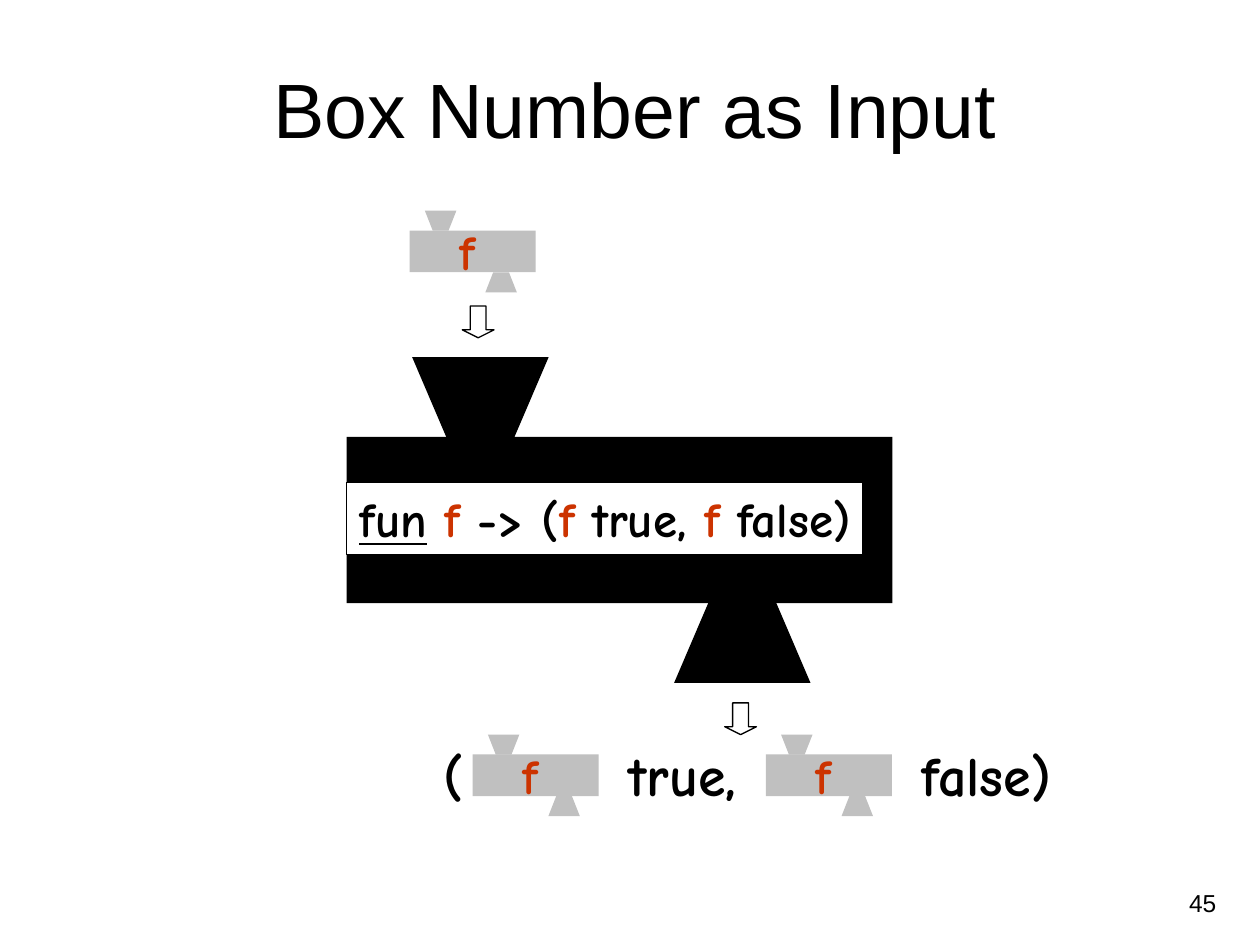
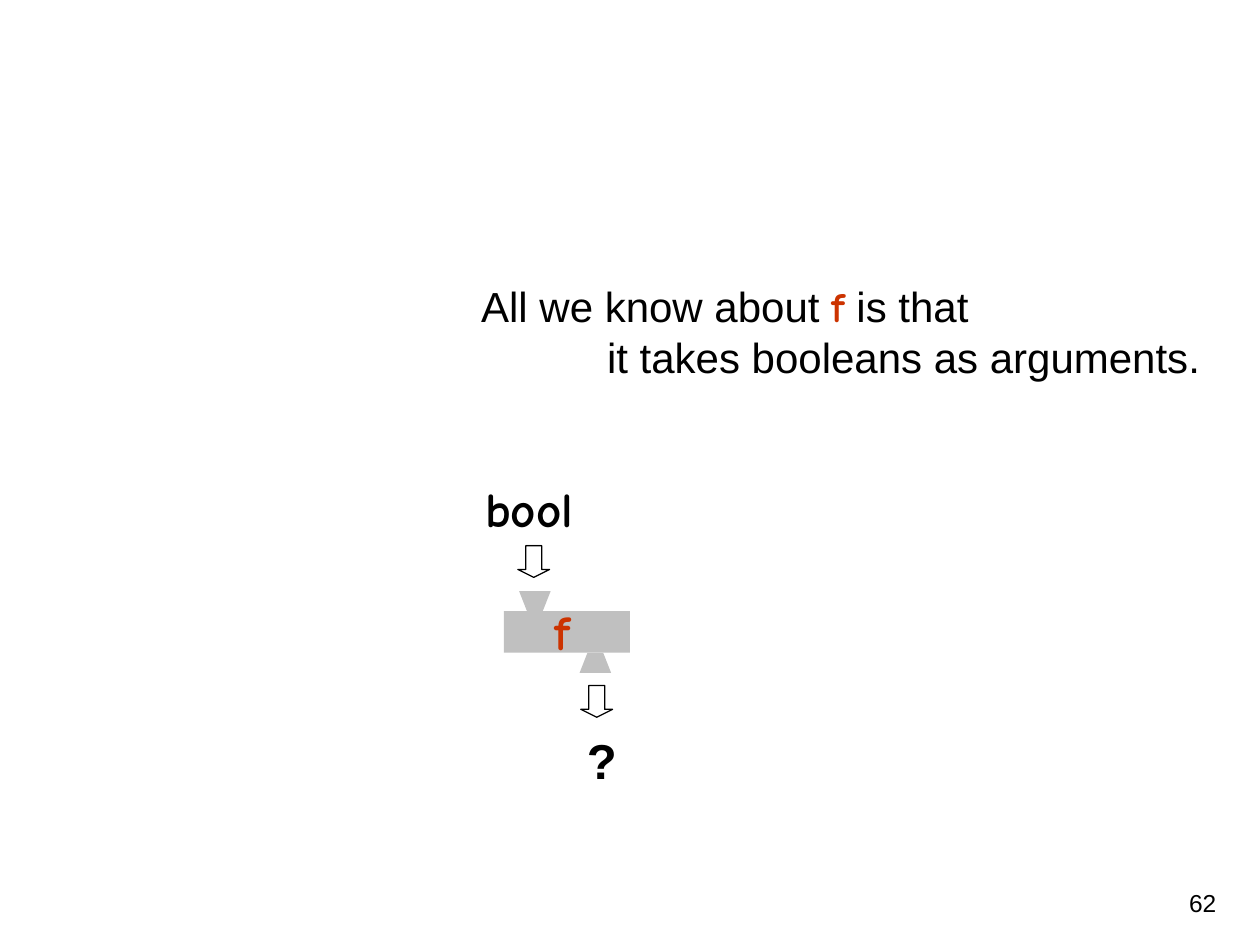
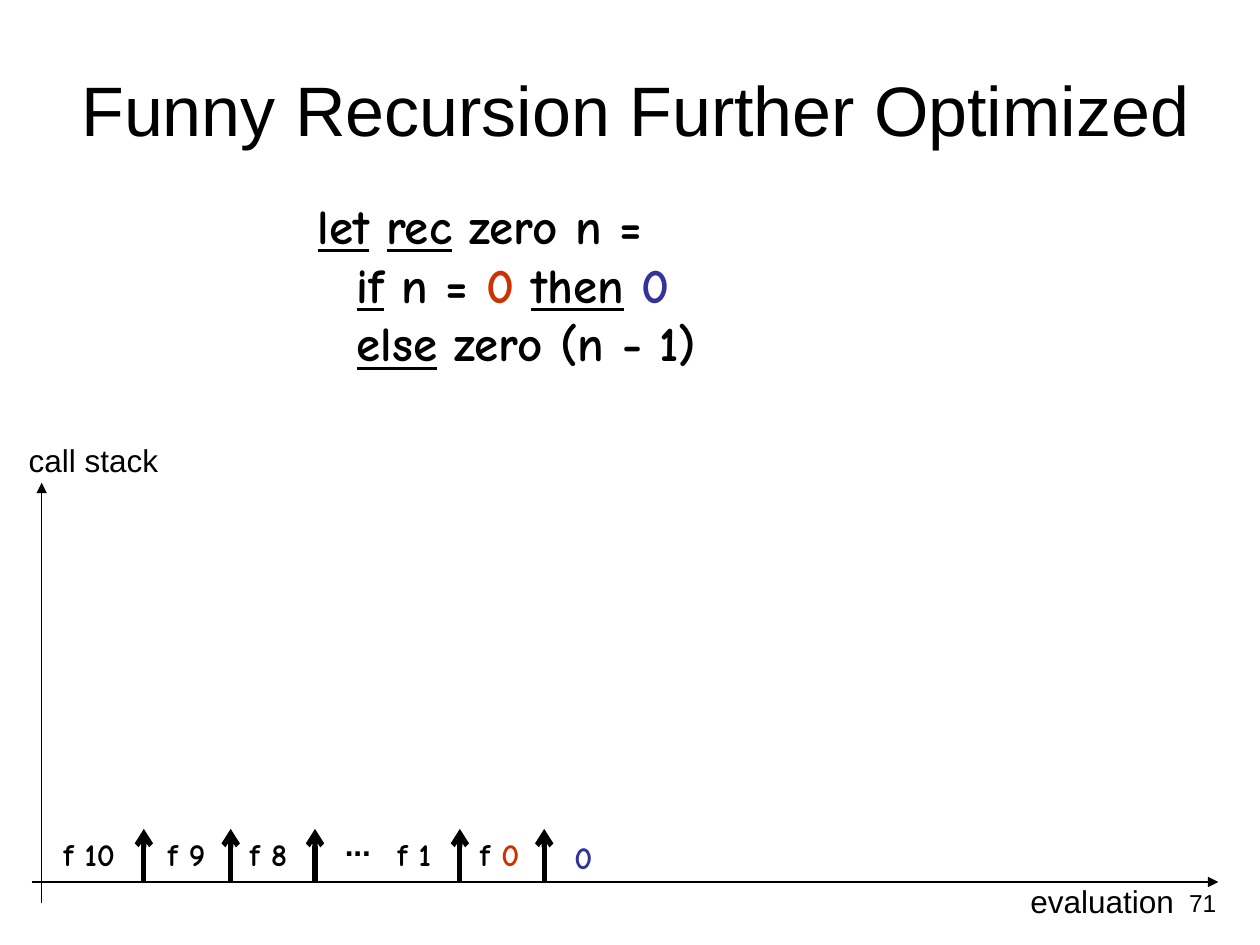
from dataclasses import dataclass
from typing import NamedTuple, Optional

from pptx import Presentation
from pptx import util as u
from pptx.dml.color import RGBColor
from pptx.enum import shapes, text
from pptx.oxml.ns import qn
from lxml import etree

Cm, Pt = u.Cm, u.Pt
LEFT, CENTER, RIGHT = text.PP_ALIGN.LEFT, text.PP_ALIGN.CENTER, text.PP_ALIGN.RIGHT


class Style(NamedTuple):
    font: str
    bold: bool


@dataclass(frozen=True)
class Theme:
    ink: str = "000000"
    paper: str = "FFFFFF"
    grey: str = "C0C0C0"
    red: str = "CC3300"
    blue: str = "333399"
    plain: Style = Style("Arial", False)
    strong: Style = Style("Arial", True)
    code: Style = Style("Comic Neue", True)
    title: int = 44
    long_title: int = 40
    result: int = 32
    listing: int = 28
    prose: int = 24
    small: int = 18
    number: int = 14
    thin: float = 0.75
    thick: float = 3


THEME = Theme()


class Span(NamedTuple):
    text: str
    style: Style = THEME.code
    colour: str = THEME.ink
    underline: bool = False


def keyword(word: str) -> Span:
    return Span(word, underline=True)


Line = list[Span]
F = Span("f", colour=THEME.red)


@dataclass(frozen=True)
class Label:
    """A text box; lines after the first are indented by later_indent."""
    left: float
    top: float
    width: float
    height: float
    lines: list[Line]
    size: int
    align: text.PP_ALIGN = LEFT
    wrap: bool = False
    space_before: float = 0
    later_indent: float = 0
    fill: Optional[str] = None
    outline: Optional[str] = None


@dataclass(frozen=True)
class Machine:
    """A box with an input funnel above and an output funnel below."""
    left: float
    top: float
    width: float
    height: float
    colour: str


def rgb(code: str) -> RGBColor:
    return RGBColor.from_string(code)


def write_spans(para, spans: Line, size: int) -> None:
    for span in spans:
        run = para.add_run()
        run.text = span.text
        run.font.name, run.font.bold = span.style
        run.font.size = Pt(size)
        run.font.underline = span.underline
        run.font.color.rgb = rgb(span.colour)


def set_indent(para, left: float, first: float = 0) -> None:
    properties = para._p.get_or_add_pPr()
    properties.set("marL", str(Cm(left)))
    properties.set("indent", str(Cm(first)))


def place(shape, left: float, top: float, width: float, height: float) -> None:
    shape.left, shape.top, shape.width, shape.height = map(Cm, (left, top, width, height))


def add_label(parent, label: Label) -> None:
    box = parent.shapes.add_textbox(*map(Cm, (label.left, label.top, label.width, label.height)))
    if label.fill:
        box.fill.solid()
        box.fill.fore_color.rgb = rgb(label.fill)
    if label.outline:
        box.line.color.rgb = rgb(label.outline)
        box.line.width = Pt(THEME.thin)
    frame = box.text_frame
    frame.word_wrap = label.wrap
    if not label.wrap:
        frame.auto_size = text.MSO_AUTO_SIZE.SHAPE_TO_FIT_TEXT
    for index, spans in enumerate(label.lines):
        para = frame.add_paragraph() if index else frame.paragraphs[0]
        para.alignment = label.align
        para.space_before = Pt(label.space_before)
        if index:
            set_indent(para, label.later_indent)
        write_spans(para, spans, label.size)


def paint(shape, colour: str) -> None:
    shape.shadow.inherit = False
    shape.fill.solid()
    shape.fill.fore_color.rgb = rgb(colour)
    shape.line.fill.background()


def add_funnel(parent, left: float, wide_y: float, narrow_y: float, width: float, colour: str) -> None:
    taper = width / 4
    corners = [(left + width, wide_y), (left + width - taper, narrow_y), (left + taper, narrow_y)]
    builder = parent.shapes.build_freeform(Cm(left), Cm(wide_y))
    builder.add_line_segments([(Cm(x), Cm(y)) for x, y in corners], close=True)
    paint(builder.convert_to_shape(), colour)


def add_machine(page, machine: Machine):
    group = page.shapes.add_group_shape()
    left, top, width, height = machine.left, machine.top, machine.width, machine.height
    body = group.shapes.add_shape(shapes.MSO_SHAPE.RECTANGLE, *map(Cm, (left, top, width, height)))
    paint(body, machine.colour)
    bottom, funnel = top + height, 0.48 * height
    add_funnel(group, left + 0.12 * width, top - funnel, top, width / 4, machine.colour)
    add_funnel(group, left + 0.6 * width, bottom + funnel, bottom, width / 4, machine.colour)
    return group


def add_f_machine(page, left: float, top: float) -> None:
    group = add_machine(page, Machine(left, top, 2.54, 0.84, THEME.grey))
    add_label(group, Label(left + 0.76, top - 0.31, 0.81, 1.45, [[F]], THEME.listing, RIGHT))


def add_down_arrow(page, left: float, top: float) -> None:
    arrow = page.shapes.add_shape(shapes.MSO_SHAPE.DOWN_ARROW, Cm(left), Cm(top), Cm(0.64), Cm(0.64))
    arrow.shadow.inherit = False
    arrow.adjustments[1] = 0.25
    arrow.fill.background()
    arrow.line.color.rgb = rgb(THEME.ink)
    arrow.line.width = Pt(THEME.thin)


def add_arrow_line(page, start: tuple[float, float], end: tuple[float, float],
                   weight: float, head: str) -> None:
    line = page.shapes.add_connector(shapes.MSO_CONNECTOR.STRAIGHT, *map(Cm, start + end))
    line.line.color.rgb = rgb(THEME.ink)
    line.line.width = Pt(weight)
    etree.SubElement(line.line._get_or_add_ln(), qn("a:tailEnd"), type=head)
    etree.SubElement(line._element.spPr, qn("a:effectLst"))


def add_page(deck, layout: int, number: int, title: str = "", size: int = THEME.title):
    page = deck.slides.add_slide(deck.slide_layouts[layout])
    if title:
        place(page.shapes.title, 0.64, 0.76, 24.33, 2.84)
        frame = page.shapes.title.text_frame
        frame.auto_size = text.MSO_AUTO_SIZE.NONE
        frame.vertical_anchor = text.MSO_ANCHOR.MIDDLE
        frame.paragraphs[0].alignment = CENTER
        write_spans(frame.paragraphs[0], [Span(title, THEME.plain)], size)
    add_label(page, Label(18.85, 17.78, 5.92, 0.89, [[Span(str(number), THEME.plain)]],
                          THEME.number, RIGHT, wrap=True))
    return page


def add_code_body(page, lines: list[Line]) -> None:
    body = page.placeholders[1]
    place(body, 4.88, 3.81, 12.07, 4.01)
    body.text_frame.auto_size = text.MSO_AUTO_SIZE.NONE
    para = body.text_frame.paragraphs[0]
    para.level = 1
    para.alignment = LEFT
    para.space_before = Pt(7)
    set_indent(para, 2.06, -0.79)
    etree.SubElement(para._p.get_or_add_pPr(), qn("a:buNone"))
    for index, spans in enumerate(lines):
        if index:
            para.add_line_break()
        write_spans(para, spans, THEME.listing)


def build_box_input(deck) -> None:
    page = add_page(deck, 5, 45, "Box Number as Input")
    add_machine(page, Machine(6.99, 8.81, 11, 3.35, THEME.ink))
    add_down_arrow(page, 9.32, 6.17)
    add_down_arrow(page, 14.61, 14.17)
    for left, top in ((8.26, 4.65), (9.53, 15.21), (15.44, 15.21)):
        add_f_machine(page, left, top)
    for word, left, width in (("(", 8.69, 0.84), ("true,", 12.07, 3.38), ("false)", 17.98, 3.81)):
        add_label(page, Label(left, 14.81, width, 1.63, [[Span(word)]], THEME.result, CENTER,
                              wrap=True, space_before=8))
    function = [keyword("fun"), Span(" "), F, Span(" -> ("), F, Span(" true, "), F, Span(" false)")]
    add_label(page, Label(6.99, 9.73, 10.41, 1.45, [function], THEME.listing, RIGHT,
                          fill=THEME.paper, outline=THEME.ink))


def build_argument_type(deck) -> None:
    page = add_page(deck, 6, 62)
    add_down_arrow(page, 10.44, 11)
    add_down_arrow(page, 11.71, 13.82)
    add_f_machine(page, 10.16, 12.32)
    statement = [
        [Span("All we know about ", THEME.plain), F, Span(" is that", THEME.plain)],
        [Span("it takes booleans as arguments.", THEME.plain)],
    ]
    add_label(page, Label(9.45, 5.54, 15.4, 2.29, statement, THEME.prose, wrap=True,
                          later_indent=2.54))
    add_label(page, Label(9.53, 9.53, 2.41, 1.45, [[Span("bool")]], THEME.listing,
                          wrap=True, fill=THEME.paper))
    add_label(page, Label(11.58, 14.61, 1.12, 1.45, [[Span("?", THEME.strong)]], THEME.listing,
                          fill=THEME.paper))


def build_call_stack(deck) -> None:
    page = add_page(deck, 1, 71, "Funny Recursion Further Optimized", THEME.long_title)
    add_code_body(page, [
        [keyword("let"), Span(" "), keyword("rec"), Span(" zero n =")],
        [keyword("if"), Span(" n = "), Span("0 ", colour=THEME.red), keyword("then"), Span(" "),
         Span("0", colour=THEME.blue)],
        [keyword("else"), Span(" zero (n - 1)")],
    ])

    axis_y, call_top = 17.78, 16.71
    add_arrow_line(page, (0.64, axis_y), (24.56, axis_y), THEME.thin, "triangle")
    add_arrow_line(page, (0.84, 18.21), (0.84, 9.73), THEME.thin, "triangle")
    for name, left, top, width in (("call stack", 0.33, 8.76, 3.12), ("evaluation", 20.52, 17.65, 3.4)):
        add_label(page, Label(left, top, width, 1.02, [[Span(name, THEME.plain)]], THEME.small))

    calls = (
        ([Span("f 10")], 1.02, 1.55, 2.9),
        ([Span("f 9")], 3.12, 1.27, 4.65),
        ([Span("f 8")], 4.77, 1.27, 6.35),
        ([Span("f 1")], 7.67, 1.27, 9.27),
        ([Span("f "), Span("0", colour=THEME.red)], 9.42, 1.3, 10.97),
    )
    for spans, left, width, arrow_x in calls:
        add_label(page, Label(left, call_top, width, 1.02, [spans], THEME.small, RIGHT))
        add_arrow_line(page, (arrow_x, axis_y), (arrow_x, call_top), THEME.thick, "arrow")
    add_label(page, Label(6.58, 16.51, 1.27, 0.79, [[Span("...", THEME.strong)]], THEME.small, CENTER))
    add_label(page, Label(11.33, 16.76, 0.86, 1.02, [[Span("0", colour=THEME.blue)]], THEME.small))


def main() -> None:
    deck = Presentation()
    deck.slide_width, deck.slide_height = Cm(25.4), Cm(19.05)
    build_box_input(deck)
    build_argument_type(deck)
    build_call_stack(deck)
    deck.save("out.pptx")


if __name__ == "__main__":
    main()
